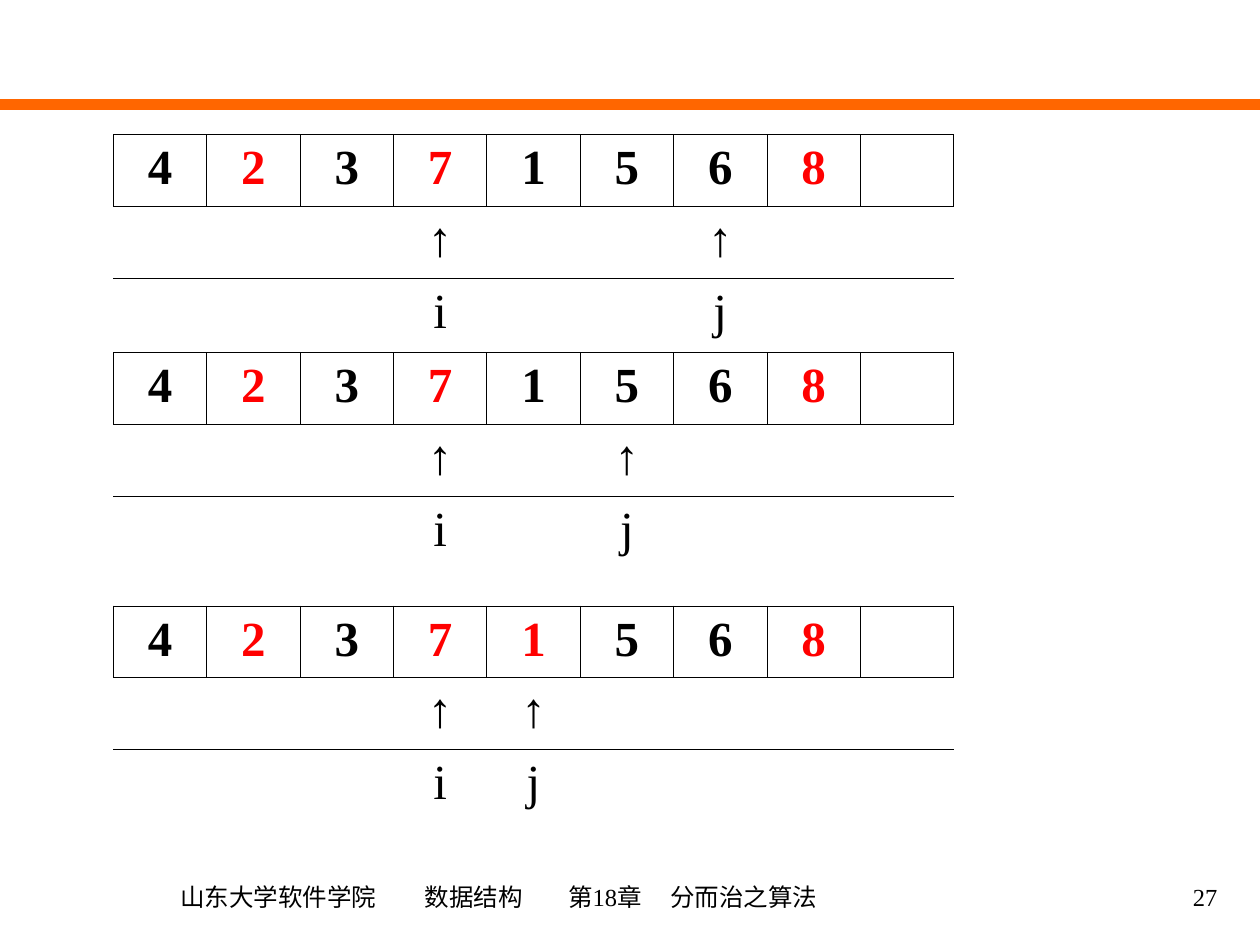
from dataclasses import dataclass

from lxml import etree
from pptx import Presentation
from pptx.dml.color import RGBColor
from pptx.enum import shapes, text
from pptx.oxml import ns
from pptx.util import Inches, Pt

COLORS = {"ink": "000000", "mark": "FF0000", "rule": "FF6600"}
FONT = "Times New Roman"
VALUES = ["4", "2", "3", "7", "1", "5", "6", "8", ""]
NO_GRID_STYLE = "{2D5ABB26-0587-4C30-8999-92F81FD0307C}"
LEFT, COL_WIDTH, ROW_HEIGHT = 0.9, 0.741, 0.57


@dataclass
class Step:
    """One state of the partition: marked columns and the two pointers."""
    top: float
    marked: set[int]
    i: int
    j: int


STEPS = [
    Step(1.07, {1, 3, 7}, 3, 6),
    Step(2.8, {1, 3, 7}, 3, 5),
    Step(4.81, {1, 3, 4, 7}, 3, 4),
]


def rgb(name: str) -> RGBColor:
    return RGBColor.from_string(COLORS[name])


def style(p, size: float, align, color: str = "ink", bold: bool = False) -> None:
    p.alignment = align
    p.font.size, p.font.name, p.font.bold = Pt(size), FONT, bold
    p.font.color.rgb = rgb(color)


def set_borders(cell, sides: str) -> None:
    tc_pr = cell._tc.get_or_add_tcPr()
    for side in sides:
        ln = etree.SubElement(tc_pr, ns.qn(f"a:ln{side}"), w=str(Pt(0.45)))
        fill = etree.SubElement(ln, ns.qn("a:solidFill"))
        etree.SubElement(fill, ns.qn("a:srgbClr"), val=COLORS["ink"])


def add_step(slide, step: Step) -> None:
    pointers = {step.i: "i", step.j: "j"}
    columns = range(len(VALUES))
    rows = [
        VALUES,
        ["↑" if c in pointers else "" for c in columns],
        [pointers.get(c, "") for c in columns],
    ]
    frame = slide.shapes.add_table(
        len(rows), len(VALUES), Inches(LEFT), Inches(step.top),
        Inches(COL_WIDTH * len(VALUES)), Inches(ROW_HEIGHT * len(rows)))
    table = frame.table
    table.first_row = table.horz_banding = False
    table._tbl.tblPr.find(ns.qn("a:tableStyleId")).text = NO_GRID_STYLE
    for col in table.columns:
        col.width = Inches(COL_WIDTH)
    for r, row in enumerate(rows):
        table.rows[r].height = Inches(ROW_HEIGHT)
        for c, value in enumerate(row):
            cell = table.cell(r, c)
            set_borders(cell, ("LRTB", "T", "")[r])
            cell.fill.background()
            cell.text = value
            color = "mark" if r == 0 and c in step.marked else "ink"
            style(cell.text_frame.paragraphs[0], 28, text.PP_ALIGN.CENTER,
                  color, bold=r == 0)


def add_footer(slide, box: tuple, content: str, align, inset: float = 0.1,
               tabs: tuple = ()) -> None:
    sp = slide.shapes.add_textbox(*map(Inches, box))
    tf = sp.text_frame
    tf.word_wrap = True
    tf.vertical_anchor = text.MSO_ANCHOR.MIDDLE
    tf.margin_left = Inches(inset)
    p = tf.paragraphs[0]
    p.text = content
    if tabs:
        tab_list = etree.SubElement(p._p.get_or_add_pPr(), ns.qn("a:tabLst"))
        for pos in tabs:
            etree.SubElement(tab_list, ns.qn("a:tab"), pos=str(Inches(pos)), algn="l")
    style(p, 14, align)


def main() -> None:
    prs = Presentation()
    prs.slide_width, prs.slide_height = Inches(10), Inches(7.5)
    slide = prs.slides.add_slide(prs.slide_layouts[6])

    # Header rule
    rule = slide.shapes.add_connector(
        shapes.MSO_CONNECTOR.STRAIGHT, 0, Inches(0.83), Inches(10), Inches(0.83))
    rule.line.color.rgb = rgb("rule")
    rule.line.width = Pt(6)
    etree.SubElement(rule._element.spPr, ns.qn("a:effectLst"))

    # Footer and slide number
    add_footer(slide, (0.75, 6.86, 6.46, 0.51),
               "山东大学软件学院\t数据结构\t第18章\t分而治之算法",
               text.PP_ALIGN.LEFT, inset=0.68, tabs=(1.94, 3.08, 3.89))
    add_footer(slide, (7.68, 6.87, 2.08, 0.5), "27", text.PP_ALIGN.RIGHT)

    # Partition steps
    for step in STEPS:
        add_step(slide, step)

    prs.save("out.pptx")


if __name__ == "__main__":
    main()
